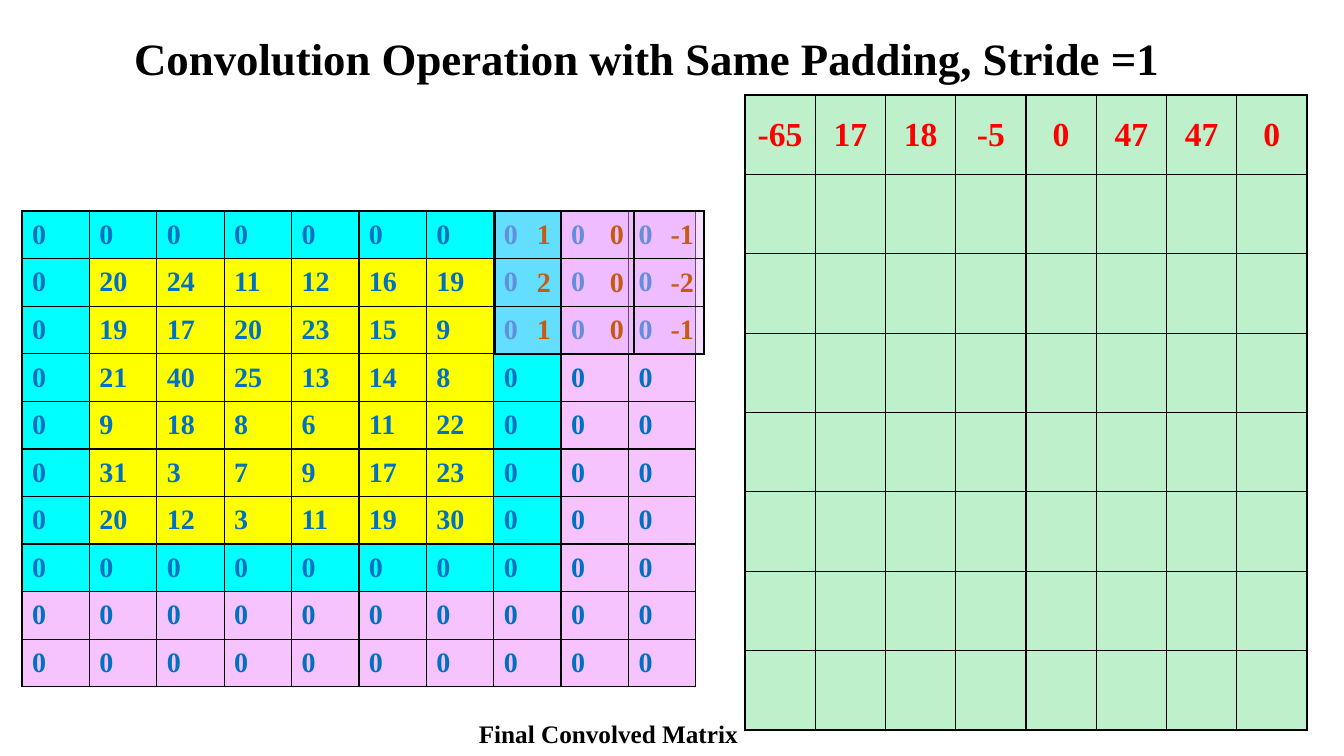
from dataclasses import dataclass

from lxml import etree
from pptx import Presentation, util as u
from pptx.dml.color import RGBColor
from pptx.enum import text
from pptx.oxml.ns import qn

EMU_PER_PX = 914400 / 100.8


def px(length):
    return u.Emu(round(length * EMU_PER_PX))


@dataclass(frozen=True)
class Theme:
    font: str = "Times New Roman"
    ink: str = "000000"
    pixel_text: str = "0070C0"
    kernel_text: str = "C55A11"
    result_text: str = "FF0000"
    pixel: str = "FFFF00"
    padding: str = "00FFFF"
    extra_padding: str = "F6C3FF"
    kernel: str = "E8B4FF"
    result: str = "6BDE8A"
    overlay_alpha: int = 43
    title_size: int = 32
    result_size: int = 24
    matrix_size: int = 20
    caption_size: int = 18
    border_pt: int = 1


class MatrixSlide:
    def __init__(self, slide, theme):
        self.slide = slide
        self.theme = theme

    def style(self, paragraph, size, color, align=text.PP_ALIGN.LEFT):
        paragraph.alignment = align
        font = paragraph.font
        font.name, font.size, font.bold = self.theme.font, u.Pt(size), True
        font.color.rgb = RGBColor.from_string(color)

    def label(self, shape, box, words, size):
        shape.left, shape.top, shape.width, shape.height = map(px, box)
        frame = shape.text_frame
        frame.word_wrap = True
        frame.auto_size = text.MSO_AUTO_SIZE.NONE
        frame.vertical_anchor = text.MSO_ANCHOR.TOP
        frame.text = words
        self.style(frame.paragraphs[0], size, self.theme.ink)

    def title(self, box, words):
        self.label(self.slide.shapes.title, box, words, self.theme.title_size)

    def caption(self, box, words):
        caption = self.slide.shapes.add_textbox(*map(px, box))
        self.label(caption, box, words, self.theme.caption_size)

    def border(self, cell):
        properties = cell._tc.get_or_add_tcPr()
        for position, side in enumerate(("lnL", "lnR", "lnT", "lnB")):
            line = etree.Element(qn(f"a:{side}"), w=str(u.Pt(self.theme.border_pt)))
            fill = etree.SubElement(line, qn("a:solidFill"))
            etree.SubElement(fill, qn("a:srgbClr"), val=self.theme.ink)
            properties.insert(position, line)

    def fill(self, cell, color, alpha):
        cell.fill.solid()
        cell.fill.fore_color.rgb = RGBColor.from_string(color)
        if alpha < 100:
            tint = cell._tc.tcPr.find(f".//{qn('a:srgbClr')}")
            etree.SubElement(tint, qn("a:alpha"), val=str(alpha * 1000))

    def matrix(self, box, values, fill_at, size, color, align, alpha=100, widths=None):
        """Draw a grid of numbers; fill_at(row, column) gives each cell's colour."""
        rows, columns = len(values), len(values[0])
        left, top, width, height = box
        table = self.slide.shapes.add_table(rows, columns, *map(px, box)).table
        table.first_row = table.horz_banding = False
        for column, span in zip(table.columns, widths or [width / columns] * columns):
            column.width = px(span)
        for row in table.rows:
            row.height = px(height / rows)
        for r, line in enumerate(values):
            for c, value in enumerate(line):
                cell = table.cell(r, c)
                cell.vertical_anchor = text.MSO_ANCHOR.MIDDLE
                cell.text = str(value)
                self.style(cell.text_frame.paragraphs[0], size, color, align)
                self.fill(cell, fill_at(r, c), alpha)
                self.border(cell)


IMAGE = [
    [20, 24, 11, 12, 16, 19],
    [19, 17, 20, 23, 15, 9],
    [21, 40, 25, 13, 14, 8],
    [9, 18, 8, 6, 11, 22],
    [31, 3, 7, 9, 17, 23],
    [20, 12, 3, 11, 19, 30],
]
KERNEL = [[1, 0, -1], [2, 0, -2], [1, 0, -1]]
FIRST_RESULTS = [-65, 17, 18, -5, 0, 47, 47, 0]
PADDED_SIZE = 10
LAST_PADDING = len(IMAGE) + 1


def padded_image():
    padded = [[0] * PADDED_SIZE for _ in range(PADDED_SIZE)]
    for r, line in enumerate(IMAGE, start=1):
        padded[r][1:1 + len(line)] = line
    return padded


def main():
    theme = Theme()
    deck = Presentation()
    deck.slide_width, deck.slide_height = px(1344), px(756)
    page = MatrixSlide(deck.slides.add_slide(deck.slide_layouts[5]), theme)

    def padding_fill(r, c):
        if max(r, c) > LAST_PADDING:
            return theme.extra_padding
        if min(r, c) == 0 or max(r, c) == LAST_PADDING:
            return theme.padding
        return theme.pixel

    page.title((124, 26, 1097, 64),
               "Convolution Operation with Same Padding, Stride =1")

    # Padded input image
    page.matrix((22, 211, 674, 476), padded_image(), padding_fill,
                theme.matrix_size, theme.pixel_text, text.PP_ALIGN.LEFT)

    # Kernel over the last window of the first row
    page.matrix((495, 211, 209, 143), KERNEL, lambda r, c: theme.kernel,
                theme.matrix_size, theme.kernel_text, text.PP_ALIGN.RIGHT,
                theme.overlay_alpha, widths=(66, 73, 70))

    # Convolved matrix, first row computed
    size = len(FIRST_RESULTS)
    results = [FIRST_RESULTS] + [[""] * size for _ in range(size - 1)]
    page.matrix((745, 95, 562, 635), results, lambda r, c: theme.result,
                theme.result_size, theme.result_text, text.PP_ALIGN.CENTER,
                theme.overlay_alpha)
    page.caption((469, 713, 285, 40), "Final Convolved Matrix")

    deck.save("out.pptx")


if __name__ == "__main__":
    main()
